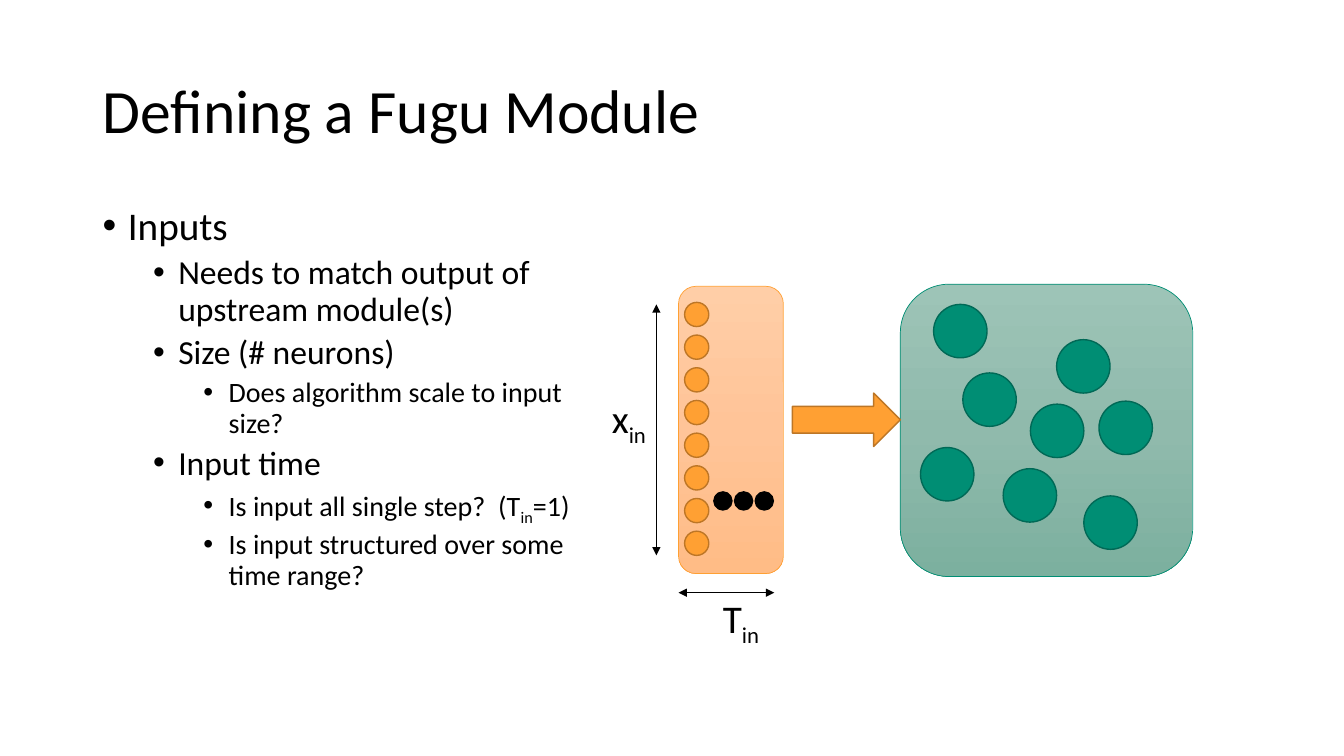
from copy import deepcopy

from lxml import etree
from pptx import Presentation
from pptx.dml.color import RGBColor
from pptx.enum.shapes import MSO_CONNECTOR, MSO_SHAPE
from pptx.enum.text import MSO_ANCHOR, MSO_AUTO_SIZE
from pptx.oxml.ns import qn
from pptx.util import Inches, Pt

OVAL = MSO_SHAPE.OVAL
ROUNDED = MSO_SHAPE.ROUNDED_RECTANGLE
ARROW = MSO_SHAPE.RIGHT_ARROW
STRAIGHT = MSO_CONNECTOR.STRAIGHT
MIDDLE, TOP = MSO_ANCHOR.MIDDLE, MSO_ANCHOR.TOP
GROW, FIXED = MSO_AUTO_SIZE.SHAPE_TO_FIT_TEXT, MSO_AUTO_SIZE.NONE

COLORS = {
    "black": "000000",
    "orange": "FFA033",
    "orange edge": "BD7626",
    "green": "008E74",
    "green edge": "006956",
}
INPUT_SHADES = ["FFCEA7", "FFC498", "FFBC86"]
MODULE_SHADES = ["9DC4B7", "90BAAC", "7CB09F"]

deck = Presentation()
deck.slide_width, deck.slide_height = Inches(13.33), Inches(7.5)
page = deck.slides.add_slide(deck.slide_layouts[6])


def add_figure(kind, place, fill, edge, weight=1):
    """Add a shape; a list of fill colours makes a top-down gradient."""
    figure = page.shapes.add_shape(kind, *map(Inches, place))
    figure.shadow.inherit = False
    figure.line.color.rgb = RGBColor.from_string(COLORS[edge])
    figure.line.width = Pt(weight)
    if isinstance(fill, list):
        figure.fill.gradient()
        figure.fill.gradient_angle = 270
        stop_list = figure._element.spPr.find(".//" + qn("a:gsLst"))
        stop_list.insert(1, deepcopy(stop_list[0]))
        for index, (stop, shade) in enumerate(zip(figure.fill.gradient_stops, fill)):
            stop.position = index / 2
            stop.color.rgb = RGBColor.from_string(shade)
    else:
        figure.fill.solid()
        figure.fill.fore_color.rgb = RGBColor.from_string(COLORS[fill])


def add_text(place, lines, anchor=TOP, wrap=True, size_rule=FIXED):
    """Add a text box; each line is (text, paragraph format, size, indent)."""
    box = page.shapes.add_textbox(*map(Inches, place))
    frame = box.text_frame
    frame_format = {"word_wrap": wrap, "auto_size": size_rule, "vertical_anchor": anchor}
    for name, value in frame_format.items():
        setattr(frame, name, value)
    for index, (text, para_format, size, indent) in enumerate(lines):
        para = frame.add_paragraph() if index else frame.paragraphs[0]
        for name, value in para_format.items():
            setattr(para, name, value)
        if indent:
            properties = para._p.get_or_add_pPr()
            properties.set("marL", str(Inches(indent)))
            properties.set("indent", str(Inches(-0.25)))
            font = etree.SubElement(properties, qn("a:buFont"))
            font.set("typeface", "Arial")
            etree.SubElement(properties, qn("a:buChar")).set("char", "•")
        # Every second part between bars is a subscript
        for part, words in enumerate(text.split("|")):
            if not words:
                continue
            span = para.add_run()
            span.text = words
            span.font.name, span.font.size = "Calibri", Pt(size)
            span.font.color.rgb = RGBColor.from_string(COLORS["black"])
            if part % 2:
                span._r.get_or_add_rPr().set("baseline", "-25000")


# Title
add_text((0.92, 0.4, 11.5, 1.45),
         [("Defining a Fugu Module", {"line_spacing": 0.9}, 44, 0)], MIDDLE)

# Bulleted outline: level and text
outline = [
    (0, "Inputs"),
    (1, "Needs to match output of upstream module(s)"),
    (1, "Size (# neurons)"),
    (2, "Does algorithm scale to input size?"),
    (1, "Input time"),
    (2, "Is input all single step?  (T|in|=1)"),
    (2, "Is input structured over some time range?"),
]
bullets = []
for level, text in outline:
    para_format = {"level": level, "line_spacing": 0.9,
                   "space_before": Pt(5 if level else 10)}
    bullets.append((text, para_format, 28 - 4 * level, 0.25 + 0.5 * level))
add_text((0.92, 2, 5.04, 4.76), bullets)

# Module, input block and the arrow between them
add_figure(ROUNDED, (8.93, 2.82, 2.9, 2.9), MODULE_SHADES, "green", 0.5)
add_figure(ROUNDED, (6.73, 2.84, 1.04, 2.85), INPUT_SHADES, "orange", 0.5)
add_figure(ARROW, (7.86, 3.9, 1.07, 0.53), "orange", "orange edge")

# Dimension lines with their labels
dimensions = [
    ((6.51, 3.02, 6.51, 5.51), "x|in", (5.97, 3.86, 0.57, 0.57)),
    ((6.73, 5.88, 7.68, 5.88), "T|in", (7.07, 5.85, 0.59, 0.57)),
]
for ends, label, place in dimensions:
    measure = page.shapes.add_connector(STRAIGHT, *map(Inches, ends))
    measure.line.color.rgb = RGBColor.from_string(COLORS["black"])
    measure.line.width = Pt(0.5)
    outline_xml = measure.line._get_or_add_ln()
    for end in ("a:headEnd", "a:tailEnd"):
        etree.SubElement(outline_xml, qn(end)).set("type", "triangle")
    etree.SubElement(measure._element.spPr, qn("a:effectLst"))
    add_text(place, [(label, {}, 28, 0)], wrap=False, size_rule=GROW)

# Neurons inside the module
module_neurons = [(9.26, 3.02), (10.48, 3.37), (9.55, 3.7), (10.22, 4.01),
                  (10.9, 3.98), (9.95, 4.65), (9.13, 4.44), (10.75, 4.92)]
for left, top in module_neurons:
    add_figure(OVAL, (left, top, 0.53, 0.53), "green", "green edge")

# Column of eight input neurons
first_top, last_top, count = 3, 5.27, 8
for row in range(count):
    top = first_top + row * (last_top - first_top) / (count - 1)
    add_figure(OVAL, (6.79, top, 0.24, 0.24), "orange", "orange edge")

# Ellipsis for further time steps
for step in range(3):
    add_figure(OVAL, (7.08 + 0.205 * step, 4.88, 0.18, 0.18), "black", "black")

deck.save("out.pptx")
